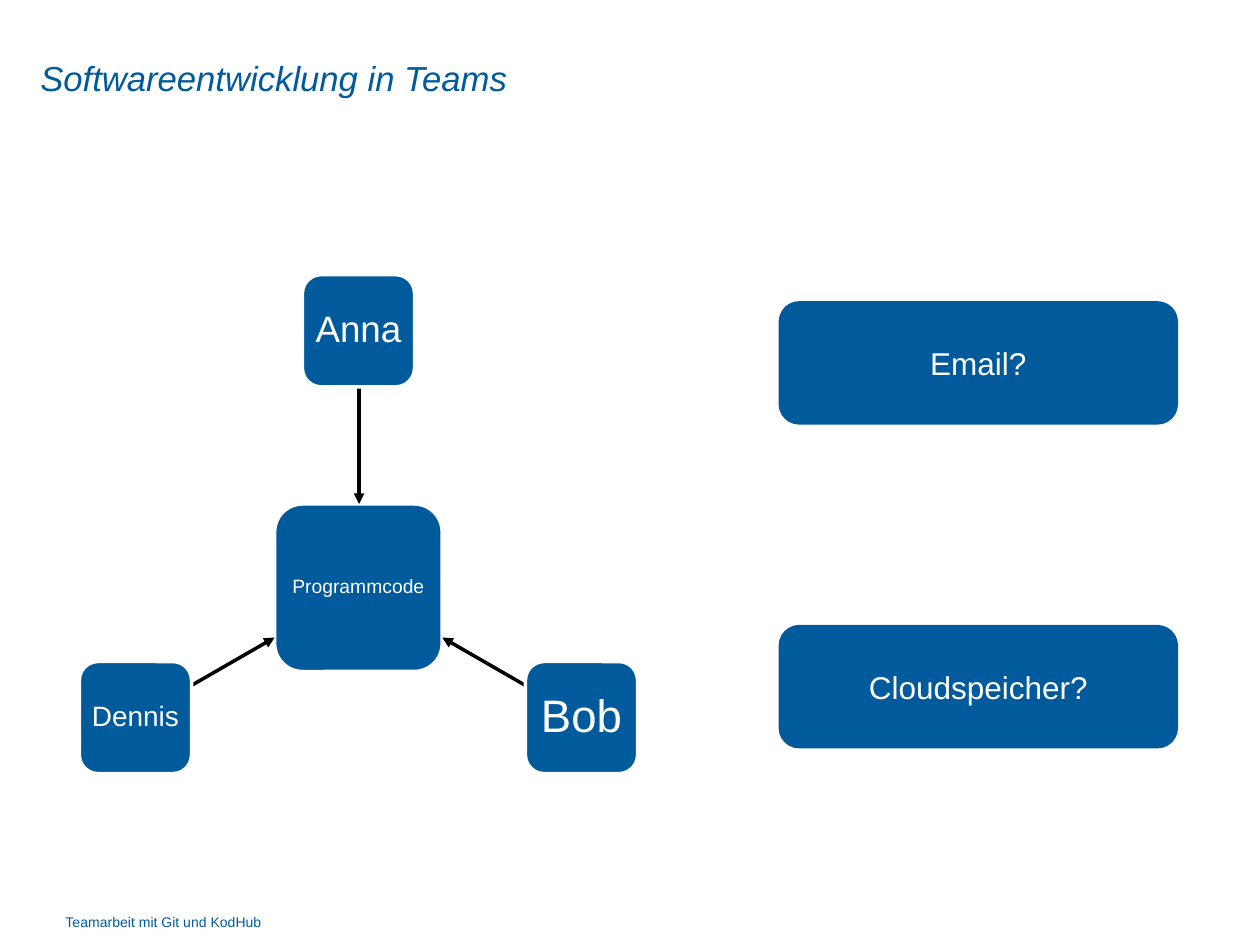
import pptx
import pptx.util
import pptx.dml.color
import pptx.enum.shapes
import pptx.enum.text
import pptx.oxml
import pptx.oxml.ns

Inches = pptx.util.Inches
Pt = pptx.util.Pt
COLOURS = {"blue": "005A9B", "white": "FFFFFF", "black": "000000"}


class TeamSlide:
    font = "Arial"

    def __init__(self, page):
        self.page = page

    def colour(self, name):
        return pptx.dml.color.RGBColor.from_string(COLOURS[name])

    def set_text(self, shape, text, size, colour, inset=0.0, italic=False):
        frame = shape.text_frame
        frame.word_wrap = True
        frame.margin_left = frame.margin_right = Inches(inset)
        frame.margin_top = frame.margin_bottom = Inches(inset)
        frame.vertical_anchor = pptx.enum.text.MSO_ANCHOR.MIDDLE
        frame.text = text
        span = frame.paragraphs[0].runs[0]
        span.font.name = self.font
        span.font.size = Pt(size)
        span.font.italic = italic
        span.font.color.rgb = self.colour(colour)
        return frame.paragraphs[0]

    def label(self, text, left, top, width, height, size, italic=False):
        box = self.page.shapes.add_textbox(
            Inches(left), Inches(top), Inches(width), Inches(height))
        self.set_text(box, text, size, "blue", italic=italic)

    def card(self, text, left, top, width, height, size, inset=0.1, outlined=False):
        card = self.page.shapes.add_shape(
            pptx.enum.shapes.MSO_SHAPE.ROUNDED_RECTANGLE,
            Inches(left), Inches(top), Inches(width), Inches(height))
        card.shadow.inherit = False
        card.fill.solid()
        card.fill.fore_color.rgb = self.colour("blue")
        if outlined:
            card.line.color.rgb = self.colour("white")
            card.line.width = Pt(2)
        else:
            card.line.fill.background()
        para = self.set_text(card, text, size, "white", inset)
        para.alignment = pptx.enum.text.PP_ALIGN.CENTER
        if outlined:
            para.line_spacing = 0.9

    def arrow(self, start, end):
        arrow = self.page.shapes.add_connector(
            pptx.enum.shapes.MSO_CONNECTOR.STRAIGHT,
            *(Inches(value) for value in start + end))
        arrow.line.color.rgb = self.colour("black")
        arrow.line.width = Pt(2)
        namespace = pptx.oxml.ns.nsdecls("a")
        properties = arrow.element.spPr
        properties.get_or_add_ln().append(
            pptx.oxml.parse_xml(f'<a:tailEnd {namespace} type="triangle"/>'))
        properties.append(pptx.oxml.parse_xml(f"<a:effectLst {namespace}/>"))


deck = pptx.Presentation()
deck.slide_width = Inches(10)
deck.slide_height = Inches(7.5)
slide = TeamSlide(deck.slides.add_slide(deck.slide_layouts[6]))

slide.label("Teamarbeit mit Git und KodHub", 0.52, 7.25, 3.64, 0.13, 8)
slide.label("Softwareentwicklung in Teams", 0.32, 0.44, 8, 0.36, 19.8, italic=True)

code_side, person_side = 1.33, 0.89
slide.card("Programmcode", 2.18, 4, code_side, code_side, 11, 0.05, True)
people = [
    ("Anna", 2.4, 2.18, 21, (2.85, 3.07), (2.85, 4)),
    ("Bob", 4.17, 5.25, 26, (4.17, 5.44), (3.51, 5.06)),
    ("Dennis", 0.63, 5.25, 16, (1.52, 5.44), (2.18, 5.06)),
]
for name, left, top, size, start, end in people:
    slide.arrow(start, end)
    slide.card(name, left, top, person_side, person_side, size, 0.05, True)

for text, top in [("Email?", 2.39), ("Cloudspeicher?", 4.96)]:
    slide.card(text, 6.18, top, 3.17, 0.98, 18)

deck.save("out.pptx")
